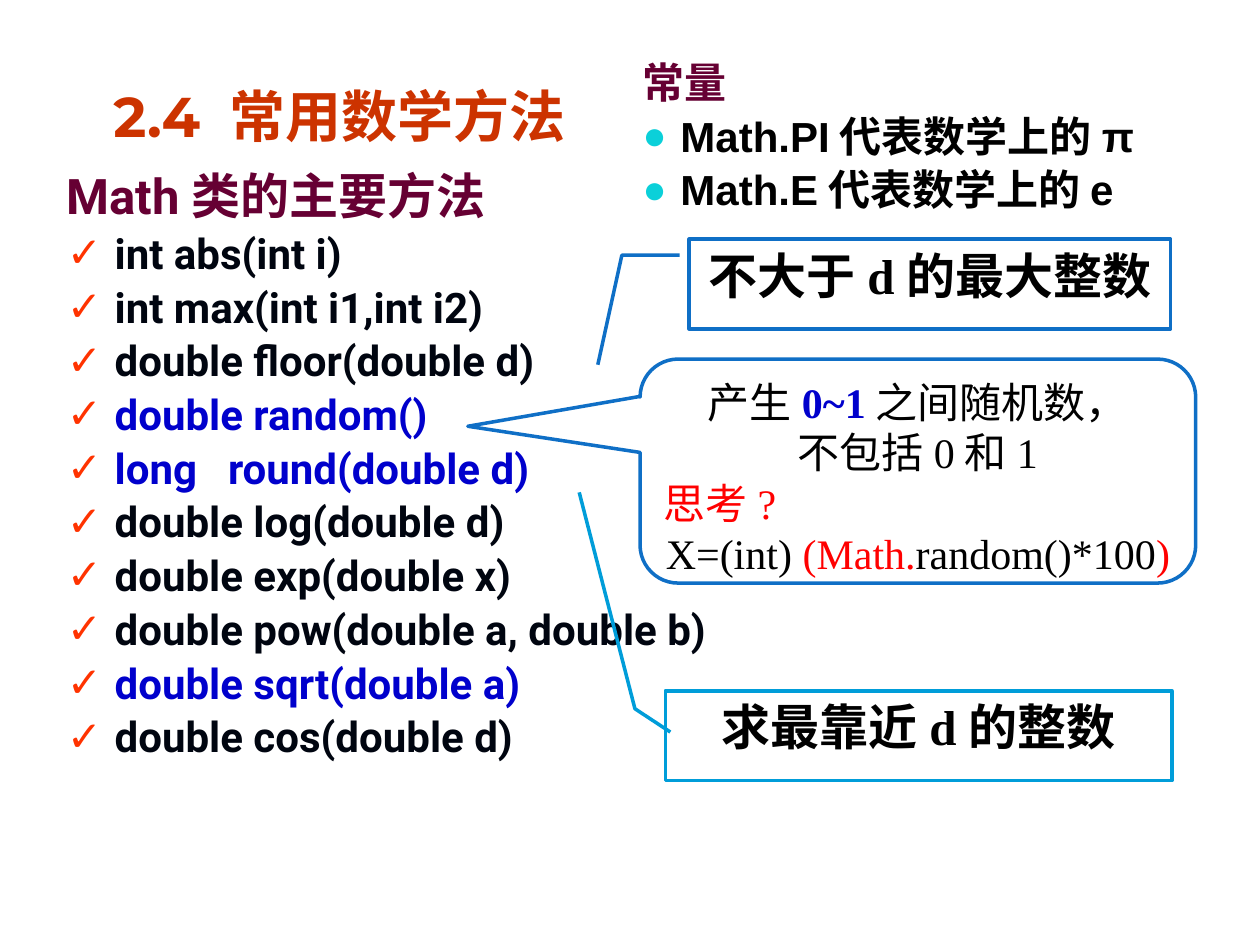
from dataclasses import dataclass

from lxml import etree
from pptx import Presentation
from pptx import util as u
from pptx.dml import color
from pptx.enum import shapes, text
from pptx.oxml import ns


@dataclass(frozen=True)
class Theme:
    """Colours, fonts and type sizes of the slide."""
    title: str = "CC3300"
    heading: str = "660033"
    ink: str = "000000"
    code: str = "000510"
    key: str = "0000CC"
    alert: str = "FF0000"
    dot: str = "0BD0D9"
    check: str = "FF3300"
    blue: str = "0F6FC6"
    cyan: str = "009DD9"
    paper: str = "FFFFFF"
    title_font: str = "Montserrat"
    constant_font: str = "Arial"
    method_font: str = "Roboto"
    note_font: str = "Times New Roman"
    title_size: int = 32
    large: int = 28
    normal: int = 24


THEME = Theme()
WIDTH, HEIGHT = u.Inches(10), u.Inches(7.5)
CONSTANTS = ["Math.PI代表数学上的π", "Math.E代表数学上的e"]
METHODS = [
    ("int abs(int i)", False),
    ("int max(int i1,int i2)", False),
    ("double floor(double d)", False),
    ("double random()", True),
    ("long\tround(double d)", True),
    ("double log(double d)", False),
    ("double exp(double x)", False),
    ("double pow(double a, double b)", False),
    ("double sqrt(double a)", True),
    ("double cos(double d)", False),
]


def place(part, box):
    """Place a part in a box given as shares of the slide."""
    left, top, width, height = box
    part.left, part.width = int(left * WIDTH), int(width * WIDTH)
    part.top, part.height = int(top * HEIGHT), int(height * HEIGHT)


def add_run(paragraph, wording, font, size, ink, bold=True):
    """Append one formatted run."""
    run = paragraph.add_run()
    run.text = wording
    run.font.name, run.font.size, run.font.bold = font, u.Pt(size), bold
    run.font.color.rgb = color.RGBColor.from_string(ink)


def set_bullet(paragraph, hang, mark=None, ink=None, percent=100, tab=None):
    """Set the hanging indent, the bullet and an optional tab stop."""
    props = paragraph._p.get_or_add_pPr()
    props.set("marL", str(u.Inches(hang)))
    props.set("indent", str(-u.Inches(hang)))

    def add(parent, tag, **attributes):
        return etree.SubElement(parent, ns.qn("a:" + tag), **attributes)

    if mark:
        add(add(props, "buClr"), "srgbClr", val=ink)
        add(props, "buSzPct", val=str(percent * 1000))
        add(props, "buChar", char=mark)
    else:
        add(props, "buNone")
    if tab:
        add(add(props, "tabLst"), "tab", pos=str(u.Inches(tab)), algn="l")


def fill_list(body, box, font, heading, heading_size, items, hang, **bullet):
    """Fill a body placeholder with a heading and bulleted items."""
    place(body, box)
    frame = body.text_frame
    frame.auto_size = text.MSO_AUTO_SIZE.NONE
    first = frame.paragraphs[0]
    set_bullet(first, hang)
    first.space_before, first.line_spacing = u.Pt(0), 0.9
    add_run(first, heading, font, heading_size, THEME.heading)
    for wording, ink in items:
        paragraph = frame.add_paragraph()
        set_bullet(paragraph, hang, **bullet)
        paragraph.line_spacing = 0.9
        add_run(paragraph, wording, font, THEME.normal, ink)


def fill_title(title, box):
    """Fill the title placeholder."""
    place(title, box)
    frame = title.text_frame
    frame.auto_size = text.MSO_AUTO_SIZE.NONE
    frame.vertical_anchor = text.MSO_ANCHOR.BOTTOM
    frame.margin_left = frame.margin_right = frame.margin_bottom = 0
    paragraph = frame.paragraphs[0]
    paragraph.alignment = text.PP_ALIGN.LEFT
    add_run(paragraph, "2.4 常用数学方法", THEME.title_font, THEME.title_size, THEME.title)


def add_callout(slide, box, preset, adjustments, outline, lines, size):
    """Add an outlined callout with lines of (alignment, runs)."""
    callout = slide.shapes.add_shape(preset, 0, 0, 0, 0)
    place(callout, box)
    for index, value in enumerate(adjustments):
        callout.adjustments[index] = value
    callout.shadow.inherit = False
    callout.fill.solid()
    callout.fill.fore_color.rgb = color.RGBColor.from_string(THEME.paper)
    callout.line.color.rgb = color.RGBColor.from_string(outline)
    callout.line.width = u.Pt(2)
    frame = callout.text_frame
    frame.word_wrap = True
    frame.vertical_anchor = text.MSO_ANCHOR.TOP
    for index, (alignment, runs) in enumerate(lines):
        paragraph = frame.add_paragraph() if index else frame.paragraphs[0]
        paragraph.alignment = alignment
        for wording, ink, bold in runs:
            add_run(paragraph, wording, THEME.note_font, size, ink, bold)


def add_random_note(slide, box):
    """Add the note on random numbers."""
    center, left = text.PP_ALIGN.CENTER, text.PP_ALIGN.LEFT
    ink, alert = THEME.ink, THEME.alert
    lines = [
        (center, [("产生", ink, False), ("0~1", THEME.key, True),
                  ("之间随机数，", ink, False)]),
        (center, [("不包括0和1", ink, False)]),
        (left, [("思考?", alert, False)]),
        (center, [("X=(int)", ink, False), (" (Math.", alert, False),
                  ("random()*100", ink, False), (")", alert, False)]),
    ]
    add_callout(slide, box, shapes.MSO_SHAPE.ROUNDED_RECTANGULAR_CALLOUT,
                (-0.81, -0.2, 0.17), THEME.blue, lines, THEME.normal)


def add_integer_note(slide, box, adjustments, outline, wording):
    """Add a one-line note with a bent leader."""
    lines = [(text.PP_ALIGN.CENTER, [(wording, THEME.ink, True)])]
    add_callout(slide, box, shapes.MSO_SHAPE.LINE_CALLOUT_2,
                adjustments, outline, lines, THEME.large)


def build_methods_slide(deck):
    """Build the slide on common mathematical methods."""
    slide = deck.slides.add_slide(deck.slide_layouts[3])
    title, constants, methods = list(slide.placeholders)[:3]
    for spare in list(slide.placeholders)[3:]:
        spare.element.getparent().remove(spare.element)
    fill_title(title, (0.09, 0.09, 0.383, 0.067))
    fill_list(constants, (0.5, 0.059, 0.429, 0.183), THEME.constant_font,
              "常量", THEME.normal, [(item, THEME.ink) for item in CONSTANTS],
              0.3, mark="●", ink=THEME.dot, percent=95)
    fill_list(methods, (0.043, 0.175, 0.858, 0.724), THEME.method_font,
              "Math类的主要方法", THEME.large,
              [(item, THEME.key if key else THEME.code) for item, key in METHODS],
              0.38, mark="✓", ink=THEME.check, tab=1.28)
    add_random_note(slide, (0.508, 0.38, 0.441, 0.237))
    add_integer_note(slide, (0.547, 0.253, 0.382, 0.095),
                     (0.18, -0.02, 0.18, -0.14, 1.4, -0.19),
                     THEME.blue, "不大于d的最大整数")
    add_integer_note(slide, (0.528, 0.731, 0.402, 0.095),
                     (0.46, 0.01, 0.2, -0.06, -2.21, -0.17),
                     THEME.cyan, "求最靠近d的整数")


def main():
    """Build and save the presentation."""
    deck = Presentation()
    deck.slide_width, deck.slide_height = WIDTH, HEIGHT
    build_methods_slide(deck)
    deck.save("out.pptx")


if __name__ == "__main__":
    main()
